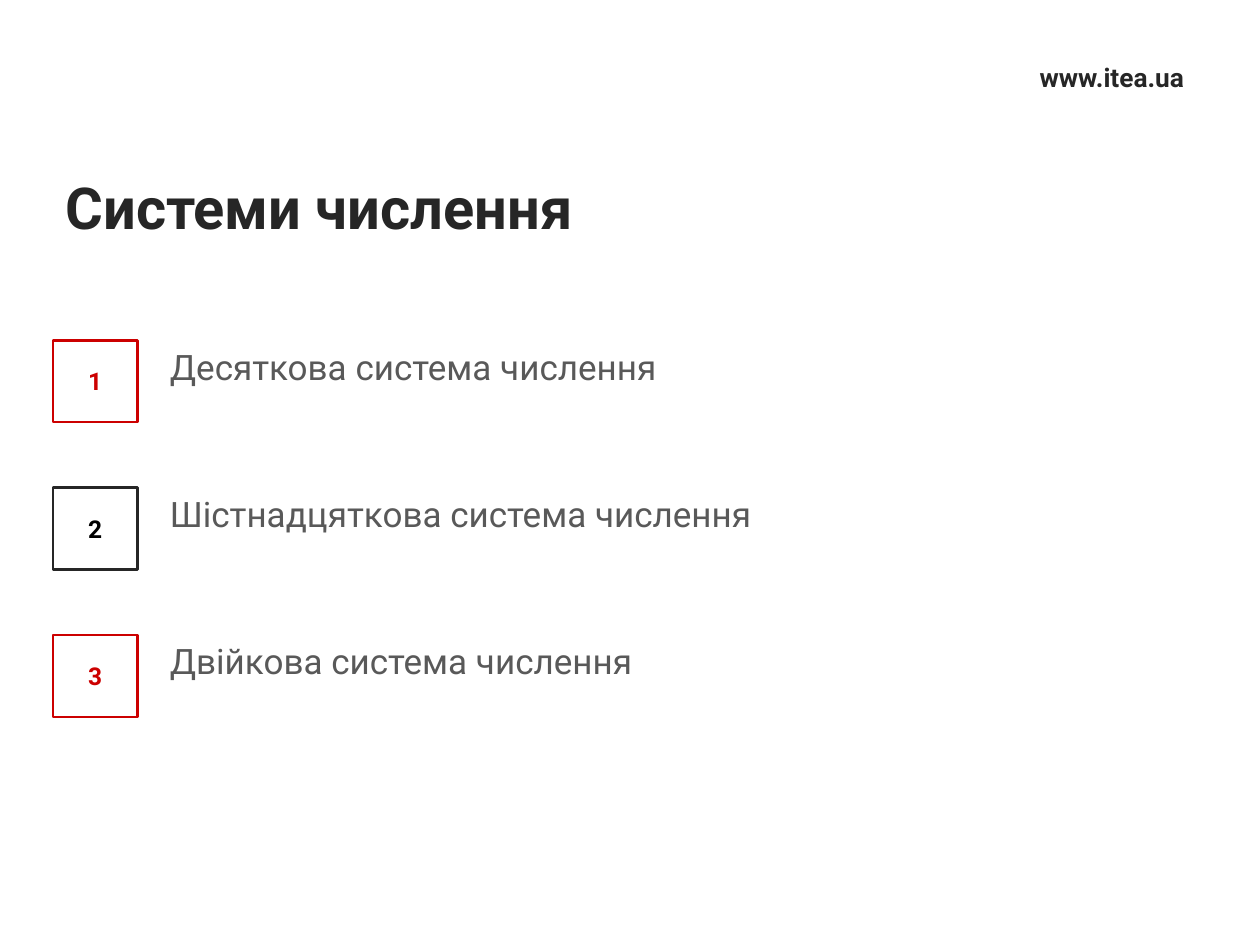
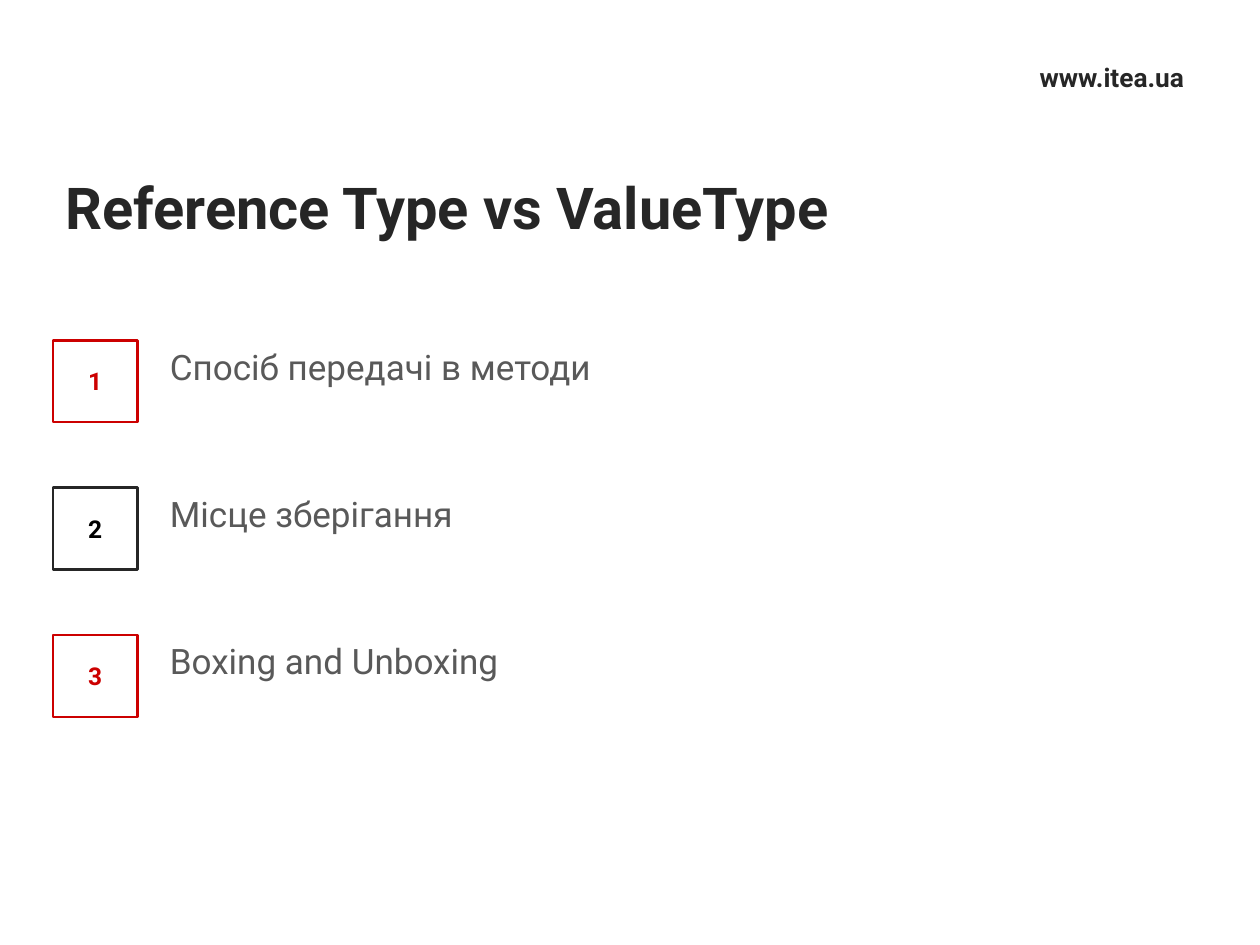
from pptx import Presentation
from pptx.dml.color import RGBColor
from pptx.enum.shapes import MSO_SHAPE
from pptx.enum.text import MSO_ANCHOR, MSO_AUTO_SIZE, PP_ALIGN
from pptx.util import Pt

EMU_PER_PX = 9144
FONT = "Roboto"
COLORS = {
    "paper": "FFFFFF",
    "ink": "262626",
    "body": "595959",
    "accent": "CC0000",
    "black": "000000",
}
SITE = "www.itea.ua"
TOPICS = [
    ("Системи числення", [
        "Десяткова система числення",
        "Шістнадцяткова система числення",
        "Двійкова система числення",
    ]),
    ("Reference Type vs ValueType", [
        "Спосіб передачі в методи",
        "Місце зберігання",
        "Boxing and Unboxing",
    ]),
]
FIRST_ROW = 269
ROW_STEP = 117


def px(length):
    return length * EMU_PER_PX


def color(name):
    return RGBColor.from_string(COLORS[name])


def write(box, text, size, ink, bold=False, align=PP_ALIGN.LEFT,
          anchor=MSO_ANCHOR.MIDDLE, margin=5):
    frame = box.text_frame
    frame.word_wrap = True
    frame.auto_size = MSO_AUTO_SIZE.NONE
    frame.vertical_anchor = anchor
    frame.margin_left = frame.margin_right = px(10)
    frame.margin_top = frame.margin_bottom = px(margin)
    para = frame.paragraphs[0]
    para.alignment = align
    span = para.add_run()
    span.text = text
    span.font.name = FONT
    span.font.size = Pt(size)
    span.font.bold = bold
    span.font.color.rgb = color(ink)


class TopicDeck:
    def __init__(self):
        self.deck = Presentation()
        self.deck.slide_width = px(1000)
        self.deck.slide_height = px(750)
        self.page = None

    def new_page(self, heading):
        self.page = self.deck.slides.add_slide(self.deck.slide_layouts[5])
        fill = self.page.background.fill
        fill.solid()
        fill.fore_color.rgb = color("paper")
        self.title(heading)
        self.site_label()

    def title(self, text):
        box = self.page.shapes.title
        box.left, box.top, box.width, box.height = map(px, (42, 131, 840, 65))
        write(box, text, 33, "ink", bold=True)

    def shape(self, kind, left, top, width, height):
        box = self.page.shapes.add_shape(kind, *map(px, (left, top, width, height)))
        box.shadow.inherit = False
        box.fill.background()
        box.line.fill.background()
        return box

    def site_label(self):
        box = self.shape(MSO_SHAPE.ROUNDED_RECTANGLE, 781, 45, 203, 32)
        box.adjustments[0] = 0
        write(box, SITE, 15, "ink", bold=True, align=PP_ALIGN.CENTER)

    def number_badge(self, number, top):
        outline, ink = ("accent", "accent") if number % 2 else ("ink", "black")
        box = self.shape(MSO_SHAPE.RECTANGLE, 42, top, 67, 65)
        box.line.color.rgb = color(outline)
        box.line.width = Pt(1.5)
        write(box, str(number), 14, ink, bold=True, align=PP_ALIGN.CENTER, margin=10)

    def item_text(self, text, top):
        box = self.page.shapes.add_textbox(*map(px, (125, top, 803, 89)))
        write(box, text, 20, "body", anchor=MSO_ANCHOR.TOP)

    def numbered_list(self, items):
        for index, text in enumerate(items):
            top = FIRST_ROW + index * ROW_STEP
            self.item_text(text, top)
            self.number_badge(index + 1, top + 1)


def main():
    builder = TopicDeck()
    for heading, items in TOPICS:
        builder.new_page(heading)
        builder.numbered_list(items)
    builder.deck.save("out.pptx")


if __name__ == "__main__":
    main()
